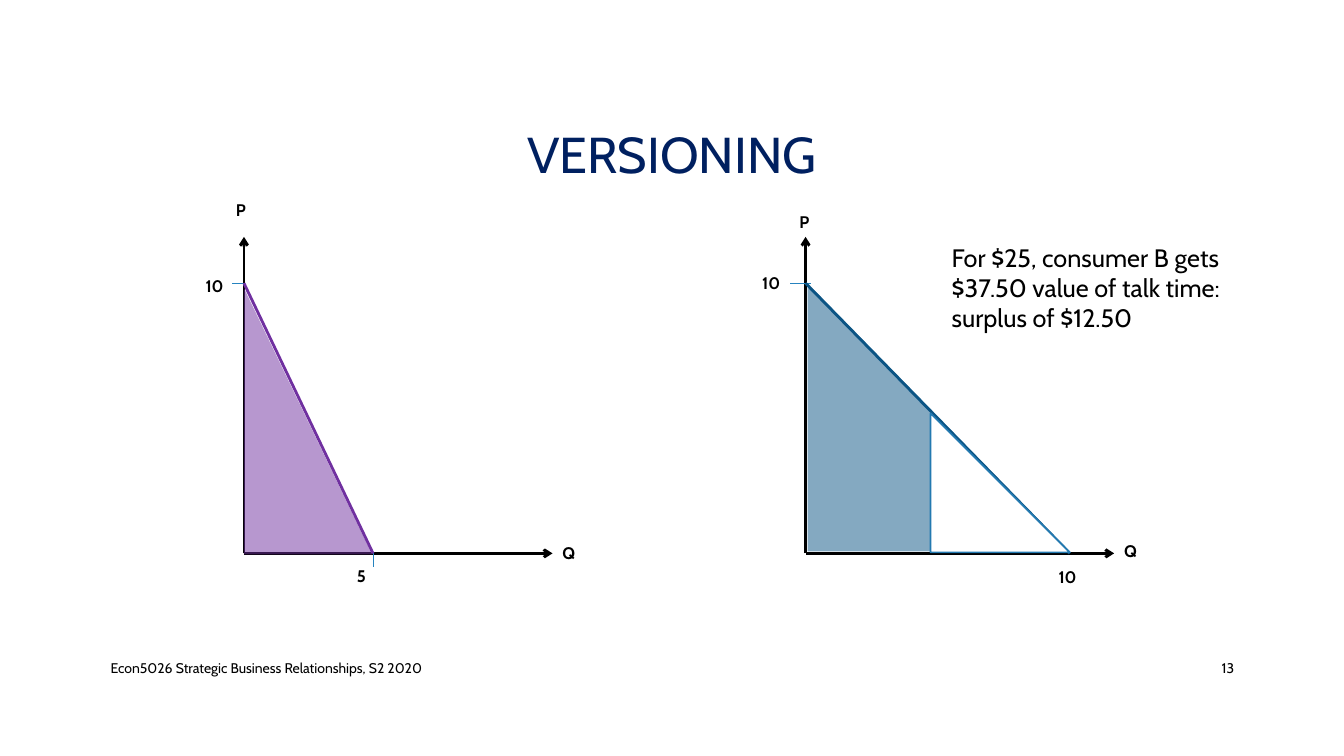
from lxml.etree import SubElement
from pptx import Presentation
from pptx.dml.color import RGBColor
from pptx.enum.shapes import MSO_CONNECTOR, MSO_SHAPE
from pptx.enum.text import MSO_ANCHOR, PP_ALIGN
from pptx.oxml.ns import qn
from pptx.util import Inches, Pt

FONT = "Cabin"
NAVY = RGBColor(0x00, 0x20, 0x60)
BLACK = RGBColor(0x00, 0x00, 0x00)
WHITE = RGBColor(0xFF, 0xFF, 0xFF)
PURPLE = RGBColor(0x70, 0x30, 0xA0)
DEEP_BLUE = RGBColor(0x0B, 0x54, 0x84)
TICK_BLUE = RGBColor(0x26, 0x83, 0xBF)
EDGE_BLUE = RGBColor(0x23, 0x79, 0xB0)

TITLE = "VERSIONING"
FOOTER = "Econ5026 Strategic Business Relationships, S2 2020"
PAGE_NUMBER = "13"
NOTE = ("For $25, consumer B gets $37.50 value of talk time: "
        "surplus of $12.50")

BASE, AXIS_TOP, DEMAND_TOP, AXIS_LENGTH = 5.49, 2.35, 2.81, 3.06
LABEL_SIZE = (0.42, 0.3)

# x positions in inches; ticks as start and end points; labels as text, left, top
GRAPHS = [
    {"origin": 2.42, "demand_end": 3.7, "color": PURPLE,
     "ticks": [((2.42, DEMAND_TOP), (2.3, DEMAND_TOP)),
               ((3.7, BASE), (3.7, 5.63))],
     "labels": [("10", 1.94, 2.69), ("5", 3.44, 5.56),
                ("Q", 5.48, 5.34), ("P", 2.24, 1.93)],
     "surplus": (2.42, 2.86, 1.27, 2.64)},
    {"origin": 7.99, "demand_end": 10.61, "color": DEEP_BLUE,
     "ticks": [((8.04, DEMAND_TOP), (7.84, DEMAND_TOP))],
     "labels": [("10", 7.46, 2.66), ("10", 10.4, 5.57),
                ("Q", 11.05, 5.32), ("P", 7.83, 2.05)],
     "surplus": (8.01, 2.81, 2.6, 2.66)},
]
UNUSED_TALK_TIME = (9.23, 4.1, 1.38, 1.38)


def format_text(frame, size, color=BLACK, bold=False, align=PP_ALIGN.LEFT,
                anchor=MSO_ANCHOR.TOP):
    frame.word_wrap = True
    frame.vertical_anchor = anchor
    para = frame.paragraphs[0]
    para.alignment = align
    font = para.runs[0].font
    font.name, font.size, font.bold = FONT, Pt(size), bold
    font.color.rgb = color


def add_text(page, text, place, size, **style):
    box = page.shapes.add_textbox(*map(Inches, place))
    box.text_frame.text = text
    format_text(box.text_frame, size, **style)


def add_line(page, start, end, color, width, arrow=False):
    line = page.shapes.add_connector(
        MSO_CONNECTOR.STRAIGHT, *map(Inches, start + end))
    line.line.color.rgb = color
    line.line.width = Pt(width)
    if arrow:
        SubElement(line.line._get_or_add_ln(), qn("a:tailEnd"), type="arrow")
    SubElement(line._element.spPr, qn("a:effectLst"))


def add_triangle(page, place, color):
    """Add a filled right triangle without outline."""
    triangle = page.shapes.add_shape(
        MSO_SHAPE.RIGHT_TRIANGLE, *map(Inches, place))
    triangle.shadow.inherit = False
    triangle.fill.solid()
    triangle.fill.fore_color.rgb = color
    triangle.line.fill.background()
    return triangle


def add_graph(page, graph):
    origin = (graph["origin"], BASE)
    for tip in ((origin[0], AXIS_TOP), (origin[0] + AXIS_LENGTH, BASE)):
        add_line(page, origin, tip, BLACK, 2, arrow=True)
    for start, end in graph["ticks"]:
        add_line(page, start, end, TICK_BLUE, 0.75)
    add_line(page, (origin[0], DEMAND_TOP), (graph["demand_end"], BASE),
             graph["color"], 2)
    for text, left, top in graph["labels"]:
        add_text(page, text, (left, top) + LABEL_SIZE, 12, bold=True)
    surplus = add_triangle(page, graph["surplus"], graph["color"])
    color = surplus._element.spPr.find(
        f"{qn('a:solidFill')}/{qn('a:srgbClr')}")
    SubElement(color, qn("a:alpha"), val="50000")


def main():
    deck = Presentation()
    deck.slide_width, deck.slide_height = Inches(13.33), Inches(7.5)
    page = deck.slides.add_slide(deck.slide_layouts[5])

    title = page.shapes.title
    title.left, title.top = Inches(1), Inches(0.68)
    title.width, title.height = Inches(11.33), Inches(1.75)
    title.text_frame.text = TITLE
    format_text(title.text_frame, 36, NAVY, align=PP_ALIGN.CENTER,
                anchor=MSO_ANCHOR.MIDDLE)
    title.text_frame.paragraphs[0].line_spacing = 0.9

    add_text(page, FOOTER, (1, 6.43, 7.3, 0.4), 10, anchor=MSO_ANCHOR.MIDDLE)
    add_text(page, PAGE_NUMBER, (11.5, 6.43, 0.84, 0.4), 10,
             align=PP_ALIGN.RIGHT, anchor=MSO_ANCHOR.MIDDLE)

    for graph in GRAPHS:
        add_graph(page, graph)
    unused = add_triangle(page, UNUSED_TALK_TIME, WHITE)
    unused.line.color.rgb = EDGE_BLUE
    unused.line.width = Pt(1.25)
    add_text(page, NOTE, (9.34, 2.35, 2.95, 1.01), 18)

    deck.save("out.pptx")


if __name__ == "__main__":
    main()
